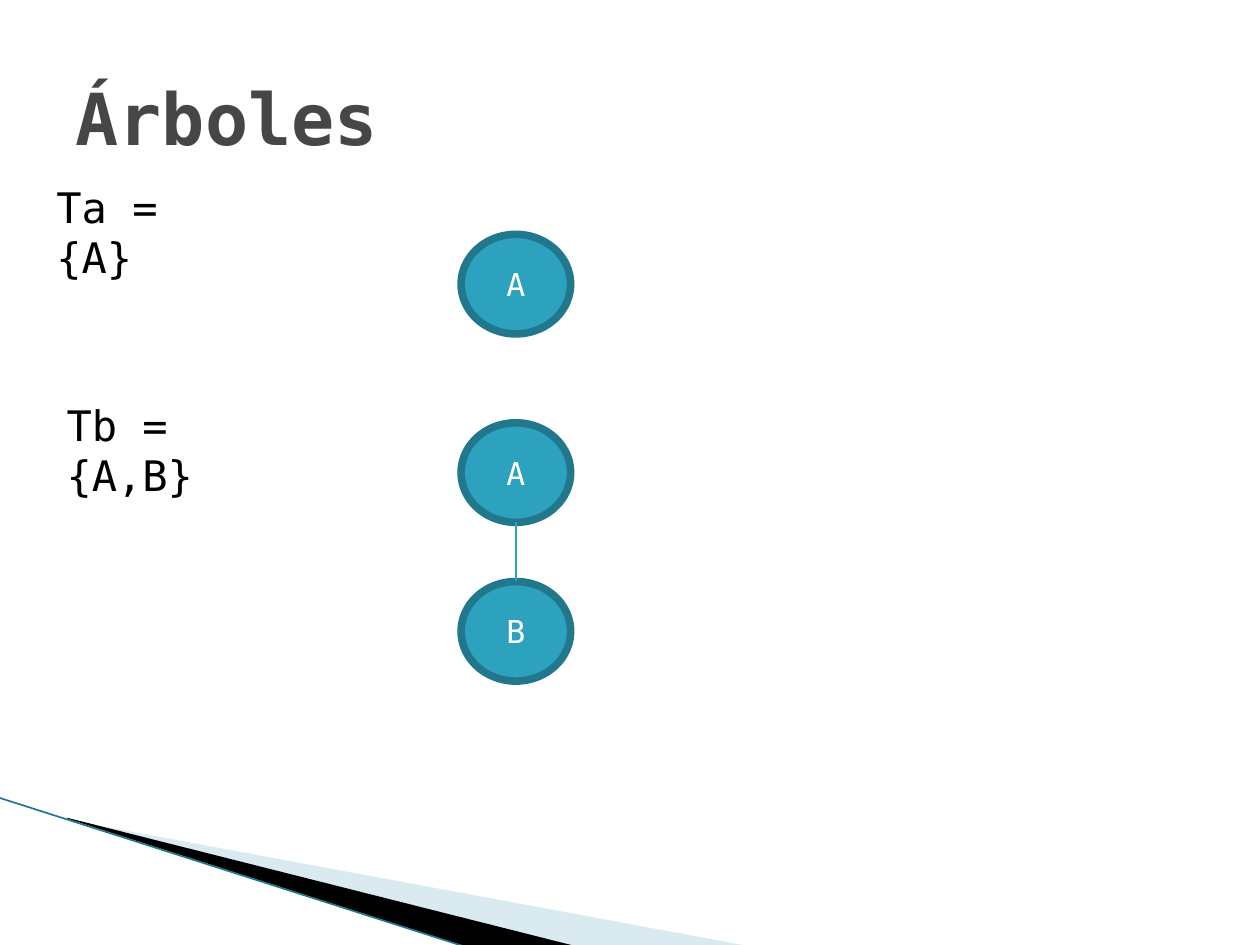
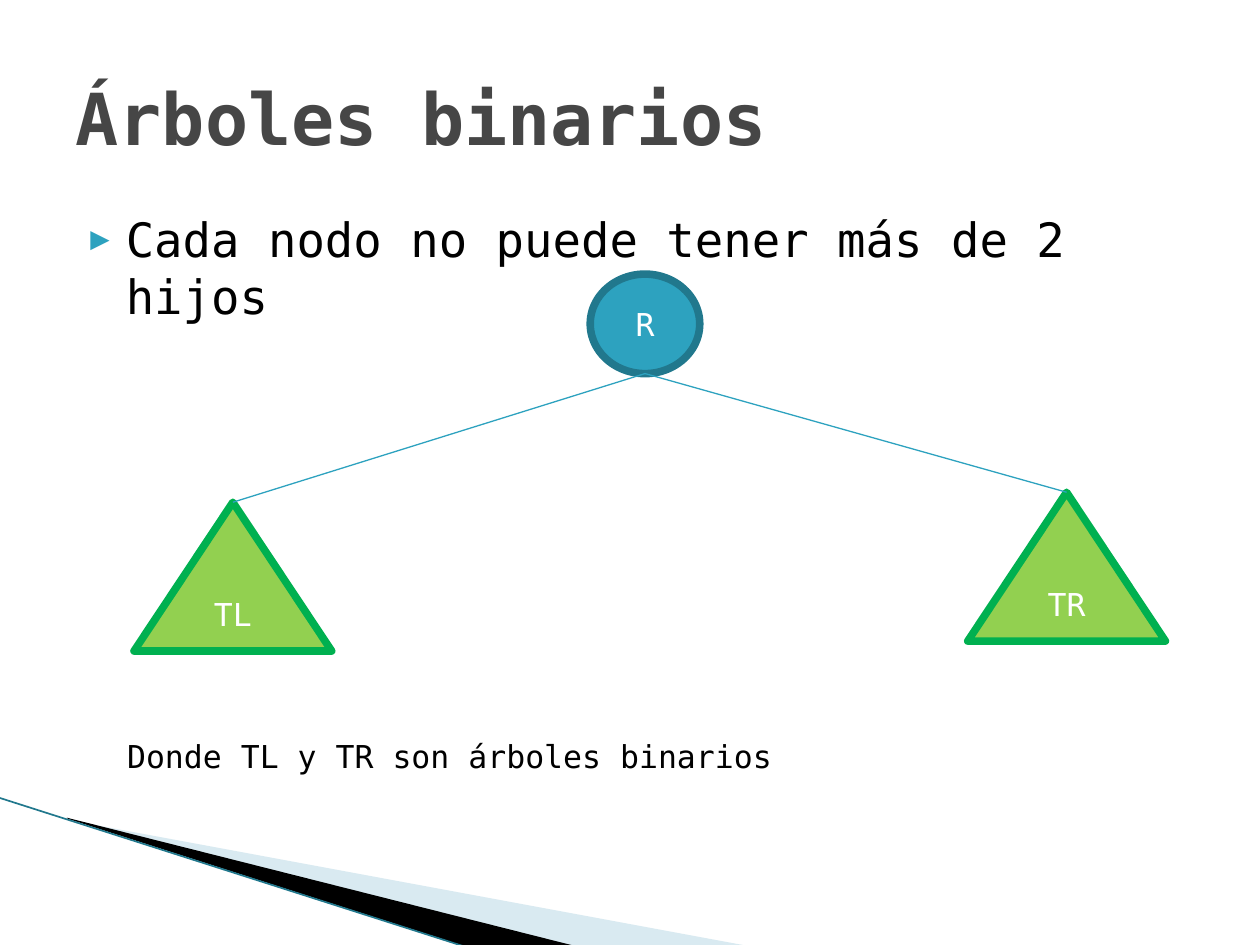
import pptx
import pptx.util
import pptx.dml.color
import pptx.enum.shapes
import pptx.enum.text
import pptx.oxml.ns
from lxml import etree

Pt = pptx.util.Pt
SHAPES = pptx.enum.shapes.MSO_SHAPE
ALIGN = pptx.enum.text.PP_ALIGN
ANCHOR = pptx.enum.text.MSO_ANCHOR

COLORS = {
    "title": "464646", "text": "000000", "label": "FFFFFF",
    "node": "2DA2BF", "node_edge": "21788D",
    "subtree": "92D050", "subtree_edge": "00B050",
    "pale_band": "A0CBDC", "dark_band": "000000", "band_edge": "21788D",
}
NODE_SIZE = (62.6, 56.9)
SUBTREE_SIZE = (113, 85)


def add_xml(parent, tag, **attributes):
    return etree.SubElement(parent, pptx.oxml.ns.qn(tag), attributes)


class Deck:
    font = "DejaVu Sans Mono"
    edge_width = 4.33

    def __init__(self):
        self.presentation = pptx.Presentation()
        self.presentation.slide_width = Pt(720)
        self.presentation.slide_height = Pt(540)
        self.slide = None

    def color(self, name):
        return pptx.dml.color.RGBColor.from_string(COLORS[name])

    def start(self, title):
        """Title-only slide with the shared bands."""
        self.slide = self.presentation.slides.add_slide(
            self.presentation.slide_layouts[5])
        self.band([(39.6, 468.7), (428.4, 540.7), (328.3, 540.7), (39.6, 468)],
                  "pale_band", opacity=40)
        self.band([(38.2, 467.3), (329, 540.7), (267.8, 541.4), (38.9, 468)],
                  "dark_band")
        self.line((-0.7, 455.8), (267.1, 541.4), "band_edge", 0.95)

        heading = self.slide.shapes.title
        heading.left, heading.top = Pt(36), Pt(21.6)
        heading.width, heading.height = Pt(648), Pt(90)
        heading.text_frame.text = title
        heading.text_frame.auto_size = pptx.enum.text.MSO_AUTO_SIZE.NONE
        heading.text_frame.vertical_anchor = ANCHOR.MIDDLE
        self.format(heading.text_frame, 41, "title", bold=True)

    def format(self, frame, size, color, align=ALIGN.LEFT, bold=False):
        for paragraph in frame.paragraphs:
            paragraph.alignment = align
            for run in paragraph.runs:
                run.font.name = self.font
                run.font.size = Pt(size)
                run.font.bold = bold
                run.font.color.rgb = self.color(color)

    def band(self, points, color, opacity=100):
        corners = [(Pt(x), Pt(y)) for x, y in points]
        builder = self.slide.shapes.build_freeform(*corners[0], scale=1.0)
        builder.add_line_segments(corners[1:], close=True)
        wedge = builder.convert_to_shape()
        wedge.shadow.inherit = False
        wedge.fill.solid()
        wedge.fill.fore_color.rgb = self.color(color)
        wedge.line.fill.background()
        if opacity < 100:
            tint = wedge.fill._xPr.find(".//" + pptx.oxml.ns.qn("a:srgbClr"))
            add_xml(tint, "a:alpha", val=str(opacity * 1000))

    def line(self, start, end, color="node", width=0.75):
        edge = self.slide.shapes.add_connector(
            pptx.enum.shapes.MSO_CONNECTOR.STRAIGHT,
            *(Pt(value) for value in (*start, *end)))
        edge.line.color.rgb = self.color(color)
        edge.line.width = Pt(width)
        add_xml(edge._element.spPr, "a:effectLst")
        return edge

    def vertex(self, kind, label, left, top, size, color):
        vertex = self.slide.shapes.add_shape(
            kind, *(Pt(value) for value in (left, top, *size)))
        vertex.shadow.inherit = False
        vertex.fill.solid()
        vertex.fill.fore_color.rgb = self.color(color)
        vertex.line.color.rgb = self.color(color + "_edge")
        vertex.line.width = Pt(self.edge_width)
        add_xml(vertex.line._get_or_add_ln(), "a:round")
        vertex.text_frame.text = label
        vertex.text_frame.vertical_anchor = ANCHOR.MIDDLE
        self.format(vertex.text_frame, 18, "label", ALIGN.CENTER)
        return vertex

    def node(self, label, left, top):
        return self.vertex(SHAPES.OVAL, label, left, top, NODE_SIZE, "node")

    def subtree(self, label, left, top):
        return self.vertex(SHAPES.ISOSCELES_TRIANGLE, label, left, top,
                           SUBTREE_SIZE, "subtree")

    def branch(self, parent, child):
        """Line from the bottom of the parent to the top of the child."""
        foot = ((parent.left + parent.width / 2) / Pt(1),
                (parent.top + parent.height) / Pt(1))
        self.line(foot, foot).end_connect(child, 0)

    def text(self, content, left, top, width, height, size):
        box = self.slide.shapes.add_textbox(
            Pt(left), Pt(top), Pt(width), Pt(height))
        box.text_frame.word_wrap = True
        box.text_frame.text = content
        self.format(box.text_frame, size, "text")
        return box.text_frame.paragraphs[0]

    def bullet(self, content, left, top, width, height, size):
        paragraph = self.text(content, left, top, width, height, size)
        paragraph.space_before = Pt(4)
        properties = paragraph._p.get_or_add_pPr()
        properties.set("marL", str(Pt(28.8)))
        properties.set("indent", str(Pt(-20.2)))
        add_xml(add_xml(properties, "a:buClr"), "a:srgbClr", val=COLORS["node"])
        add_xml(properties, "a:buSzPct", val="68000")
        add_xml(properties, "a:buFont", typeface=self.font)
        add_xml(properties, "a:buChar", char="▶")


def main():
    deck = Deck()

    # Trees with one and two nodes
    deck.start("Árboles")
    deck.text("Ta = {A}", 25.2, 100.1, 110.2, 36, 24)
    deck.text("Tb = {A,B}", 31, 224.6, 133.9, 36, 24)
    column = 263.5
    deck.node("A", column, 133.9)
    root = deck.node("A", column, 241.6)
    leaf = deck.node("B", column, 332.3)
    deck.branch(root, leaf)

    # Binary tree with its two subtrees
    deck.start("Árboles binarios")
    deck.bullet("Cada nodo no puede tener más de 2 hijos",
                36, 116.6, 648, 356.4, 27)
    root = deck.node("R", 337.3, 156.6)
    for label, left, top in (("TL", 76.6, 287), ("TR", 553, 281.3)):
        deck.branch(root, deck.subtree(label, left, top))
    deck.text("Donde TL y TR son árboles binarios", 65.5, 417.6, 555.8, 28.8, 18)

    deck.presentation.save("out.pptx")


if __name__ == "__main__":
    main()
